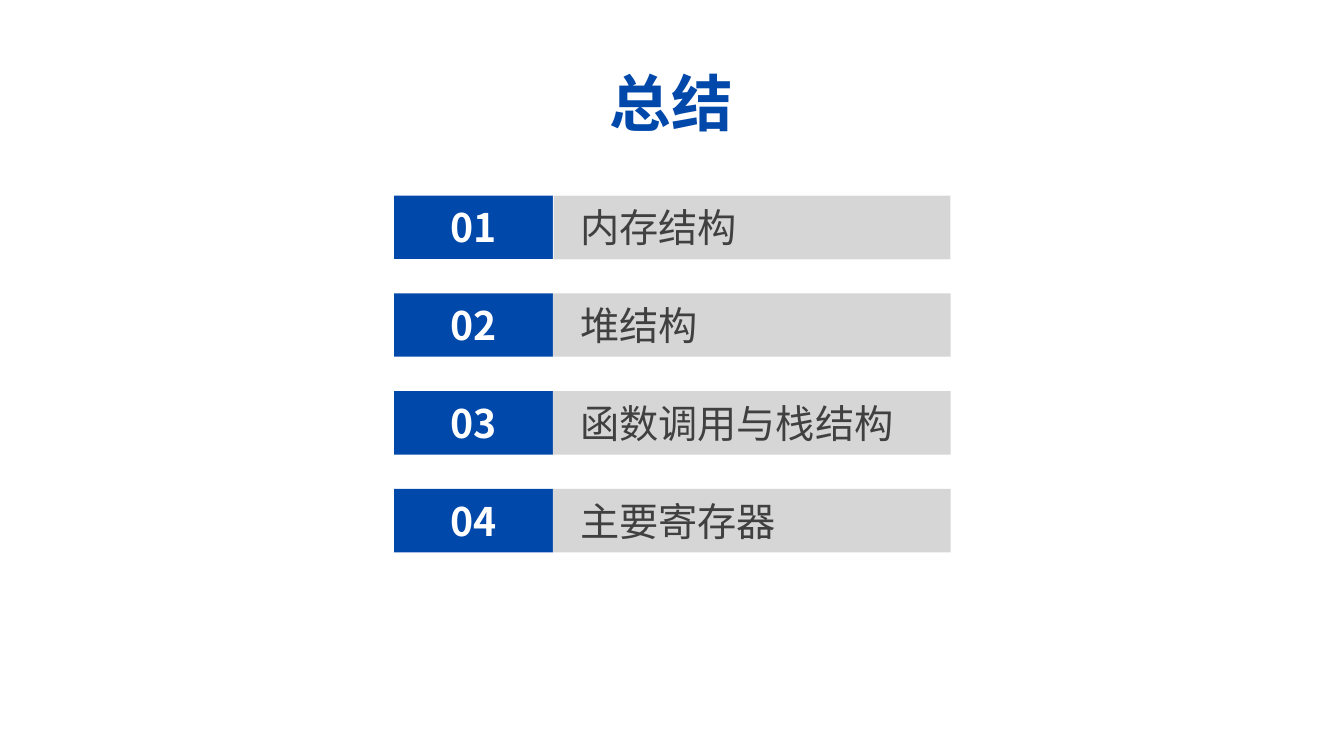
import lxml.etree
import pptx
import pptx.dml.color
import pptx.enum.shapes
import pptx.enum.text
import pptx.oxml.ns
import pptx.util

BLUE = pptx.dml.color.RGBColor(0x00, 0x48, 0xAA)
GREY = pptx.dml.color.RGBColor(0xD6, 0xD6, 0xD6)
PALE = pptx.dml.color.RGBColor(0xF2, 0xF2, 0xF2)
DARK = pptx.dml.color.RGBColor(0x40, 0x40, 0x40)
WHITE = pptx.dml.color.RGBColor(0xFF, 0xFF, 0xFF)
FONT = "Noto Sans CJK SC"
LEFT = pptx.enum.text.PP_ALIGN.LEFT
CENTER = pptx.enum.text.PP_ALIGN.CENTER
TOPICS = ["内存结构", "堆结构", "函数调用与栈结构", "主要寄存器"]


def inches(*lengths):
    """Convert lengths in inches to slide units."""
    return [pptx.util.Inches(n) for n in lengths]


def write(tf, text, size, color, bold, align):
    """Fill a text frame with one formatted line."""
    tf.text = text
    p = tf.paragraphs[0]
    p.alignment = align
    font = p.runs[0].font
    font.size = pptx.util.Pt(size)
    font.bold = bold
    font.color.rgb = color
    font.name = FONT
    lxml.etree.SubElement(font._element, pptx.oxml.ns.qn("a:ea"), typeface=FONT)


def add_title(s, box, text):
    """Place the slide title in its box."""
    tf = s.shapes.add_textbox(*inches(*box)).text_frame
    tf.word_wrap = False
    tf.auto_size = pptx.enum.text.MSO_AUTO_SIZE.SHAPE_TO_FIT_TEXT
    write(tf, text, 44, BLUE, True, LEFT)


def add_bar(s, box, fill, text, color, bold, align):
    """Place one filled bar with its text and return it."""
    sp = s.shapes.add_shape(pptx.enum.shapes.MSO_SHAPE.RECTANGLE, *inches(*box))
    sp.shadow.inherit = False
    sp.fill.solid()
    sp.fill.fore_color.rgb = fill
    sp.line.fill.background()
    tf = sp.text_frame
    tf.word_wrap = True
    tf.vertical_anchor = pptx.enum.text.MSO_ANCHOR.MIDDLE
    write(tf, text, 28, color, bold, align)
    return sp


def add_agenda(s, box, topics):
    """Stack numbered topic rows with equal gaps inside the box."""
    left, top, width, height = box
    bar_h = 0.63
    number_w = 1.575
    pitch = (height - bar_h) / (len(topics) - 1)
    for i, topic in enumerate(topics):
        y = top + i * pitch
        add_bar(s, (left, y, number_w, bar_h), BLUE, f"{i + 1:02}", WHITE, True, CENTER)
        label = add_bar(s, (left + number_w, y, width - number_w, bar_h),
                        GREY, topic, DARK, False, LEFT)
        label.text_frame.margin_left = pptx.util.Inches(0.27)
        if i == 0:
            label.line.color.rgb = PALE
            label.line.width = pptx.util.Pt(0.5)


def main():
    """Build and save the summary slide."""
    prs = pptx.Presentation()
    prs.slide_width, prs.slide_height = inches(13.33, 7.5)
    s = prs.slides.add_slide(prs.slide_layouts[6])
    add_title(s, (5.95, 0.6, 1.44, 0.84), "总结")
    add_agenda(s, (3.91, 1.94, 5.52, 3.54), TOPICS)
    prs.save("out.pptx")


if __name__ == "__main__":
    main()
